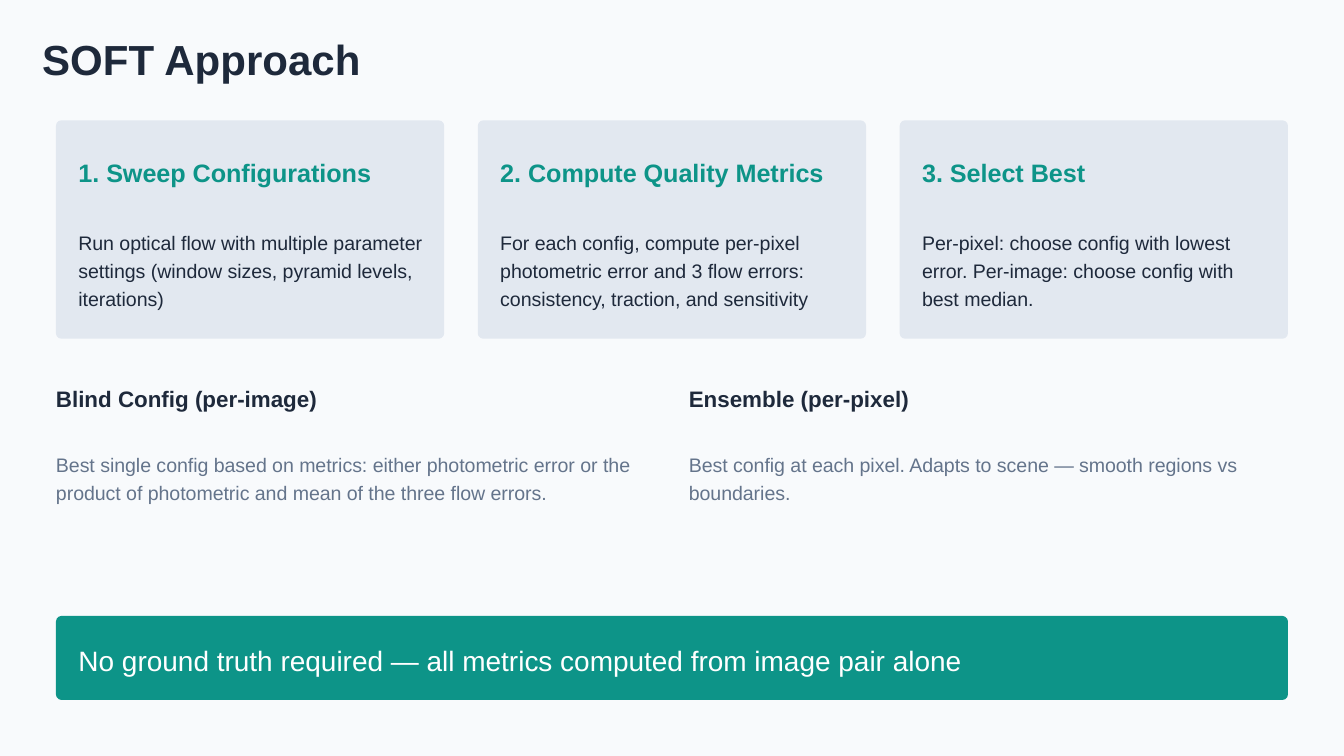
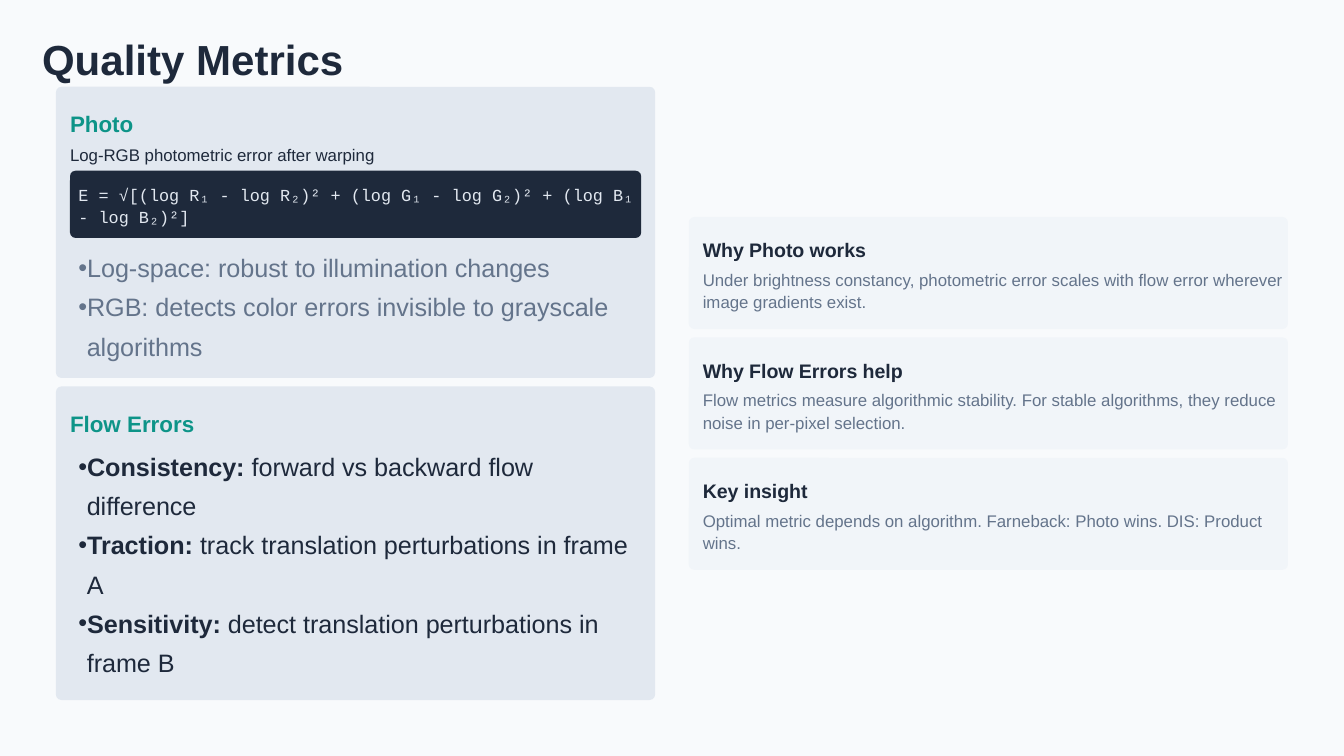
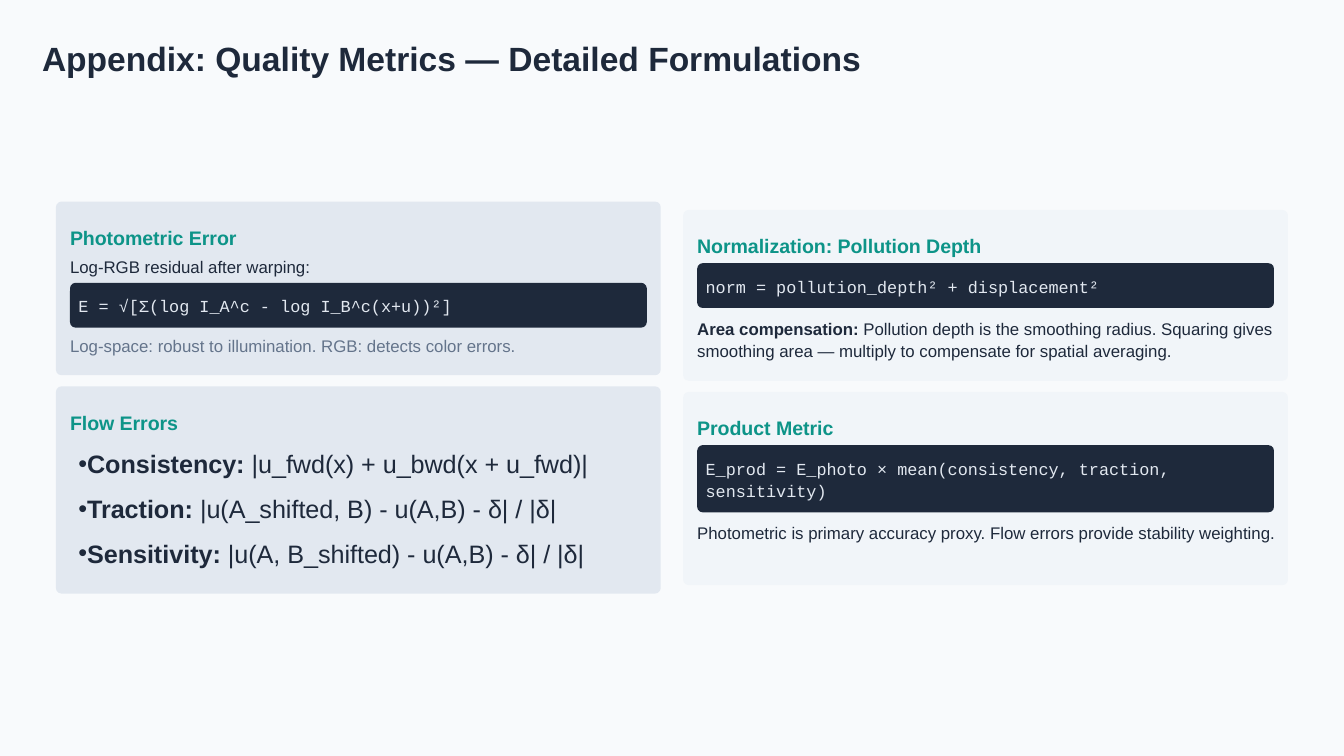
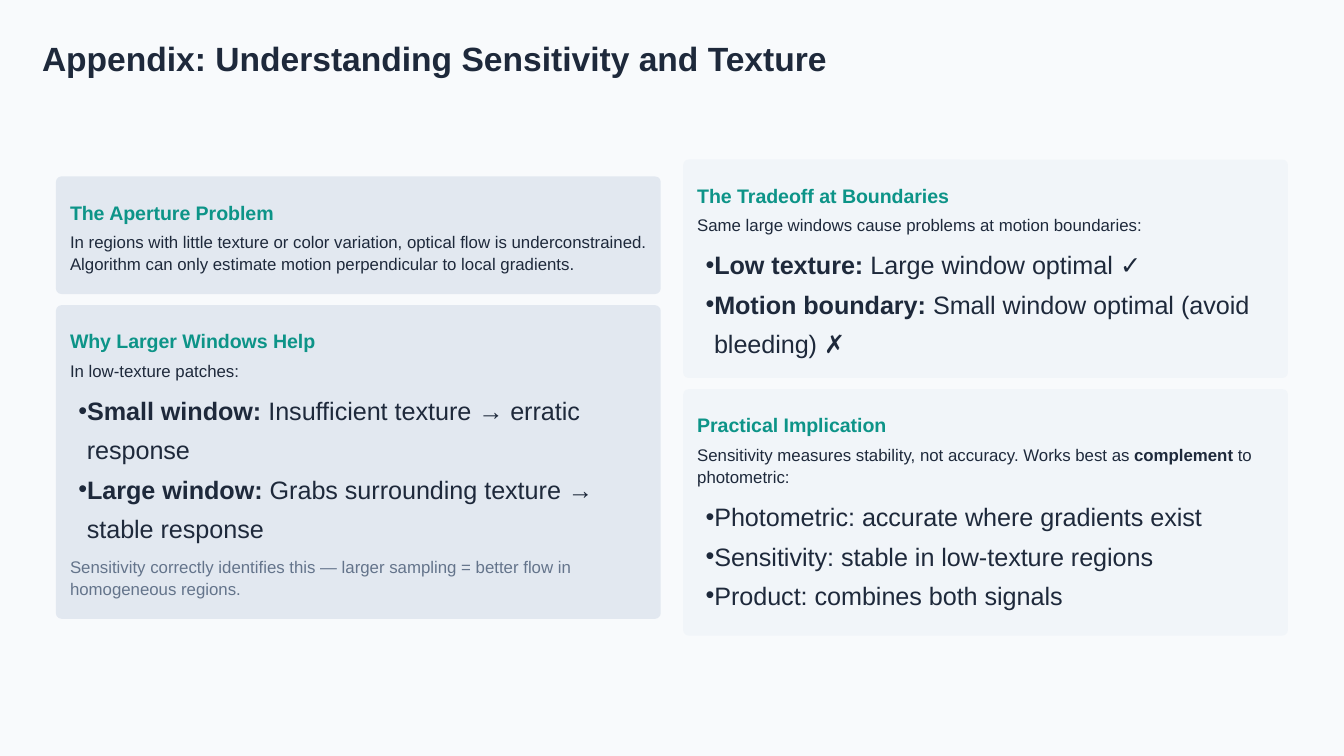
"""Builds four slides on quality metrics for optical flow."""
from dataclasses import dataclass

from lxml import etree
from pptx import Presentation
from pptx.dml.color import RGBColor
from pptx.enum.shapes import MSO_SHAPE
from pptx.enum.text import MSO_ANCHOR, MSO_AUTO_SIZE, PP_ALIGN
from pptx.oxml.ns import qn
from pptx.util import Pt

ROUND_RECT = MSO_SHAPE.ROUNDED_RECTANGLE
TOP = MSO_ANCHOR.TOP
NO_AUTOFIT = MSO_AUTO_SIZE.NONE
LEFT = PP_ALIGN.LEFT
LAYOUT_BY_LISTS = {0: 5, 1: 1, 2: 3, 3: 4}


@dataclass(frozen=True)
class Style:
    """Format of one kind of text."""
    size: float
    leading: float
    color: str
    bold: bool = False
    font: str = "Arial"


class Theme:
    """Colours, type sizes and shared measures in points."""
    PAPER, CARD, PALE = "F8FAFC", "E2E8F0", "F1F5F9"
    INK, MUTED, TEAL, WHITE = "1E293B", "64748B", "0D9488", "FFFFFF"
    RADIUS, MARGIN, INDENT = 3, 30, 4.5
    STYLES = {
        "title": Style(22.5, 27, INK, True),
        "appendix": Style(18, 24, INK, True),
        "step": Style(13.5, 21, TEAL, True),
        "banner": Style(15, 21, WHITE),
        "section": Style(12, 18, INK, True),
        "metric": Style(12, 18, TEAL, True),
        "topic": Style(10.5, 15, TEAL, True),
        "reason": Style(10.5, 15, INK, True),
        "body": Style(10.5, 15, INK),
        "body_muted": Style(10.5, 15, MUTED),
        "small": Style(9, 12, INK),
        "small_muted": Style(9, 12, MUTED),
        "code": Style(9, 12, CARD, font="Courier New"),
        "list": Style(13.5, 21, INK),
        "list_muted": Style(13.5, 21, MUTED),
    }


def rgb(value):
    """Return the colour of a hex string."""
    return RGBColor.from_string(value)


def write(p, text, style, bullet=False, after=0):
    """Fill a paragraph, with ** around bold words."""
    if bullet:
        pPr = p._p.get_or_add_pPr()
        pPr.set("marL", str(Pt(Theme.INDENT)))
        pPr.set("indent", str(-Pt(Theme.INDENT)))
        etree.SubElement(pPr, qn("a:buChar")).set("char", "•")
    p.alignment = LEFT
    p.line_spacing = Pt(style.leading)
    p.space_before, p.space_after = Pt(0), Pt(after)
    for i, part in enumerate(text.split("**")):
        if part:
            r = p.add_run()
            r.text = part
            r.font.name, r.font.size = style.font, Pt(style.size)
            r.font.bold = style.bold or i % 2 == 1
            r.font.color.rgb = rgb(style.color)


class Deck:
    """Holds the presentation, its style and the current slide."""

    def __init__(self):
        """Start a wide deck with a light background."""
        self.prs = Presentation()
        self.prs.slide_width, self.prs.slide_height = Pt(720), Pt(405)
        fill = self.prs.slide_master.background.fill
        fill.solid()
        fill.fore_color.rgb = rgb(Theme.PAPER)

    def slide(self, title, width, kind="title", lists=0):
        """Add a slide with a title and room for some lists."""
        layout = self.prs.slide_layouts[LAYOUT_BY_LISTS[lists]]
        self.s = self.prs.slides.add_slide(layout)
        sp = self.s.shapes.title
        style = Theme.STYLES[kind]
        tf = self.frame(sp, 22.5, 18, width, style.leading)
        write(tf.paragraphs[0], title, style)
        bodies = [ph for ph in self.s.placeholders
                  if ph.placeholder_format.idx > 0]
        for ph in bodies[lists:]:
            ph.element.getparent().remove(ph.element)
        self.bodies = iter(bodies[:lists])

    def frame(self, sp, x, y, w, h, inset=0):
        """Place a text holder and return its plain text frame."""
        sp.left, sp.top, sp.width, sp.height = Pt(x), Pt(y), Pt(w), Pt(h)
        tf = sp.text_frame
        tf.word_wrap, tf.auto_size = True, NO_AUTOFIT
        tf.vertical_anchor = TOP
        tf.margin_left = Pt(inset)
        tf.margin_top = tf.margin_right = tf.margin_bottom = 0
        return tf

    def text(self, x, y, w, text, kind, lines=1):
        """Add a text box and return its height."""
        style = Theme.STYLES[kind]
        h = lines * style.leading
        sp = self.s.shapes.add_textbox(0, 0, 0, 0)
        tf = self.frame(sp, x, y, w, h)
        write(tf.paragraphs[0], text, style)
        return h

    def panel(self, x, y, w, h, color):
        """Add a filled rectangle with rounded corners."""
        sp = self.s.shapes.add_shape(ROUND_RECT, Pt(x), Pt(y), Pt(w), Pt(h))
        sp.adjustments[0] = Theme.RADIUS / min(w, h)
        sp.shadow.inherit = False
        sp.fill.solid()
        sp.fill.fore_color.rgb = rgb(color)
        sp.line.fill.background()

    def code(self, x, y, w, text, lines):
        """Add a formula on a dark panel and return its height."""
        h = lines * Theme.STYLES["code"].leading + 12
        self.panel(x, y, w, h, Theme.INK)
        self.text(x + 4.5, y + 6, w - 3, text, "code", lines)
        return h

    def bullets(self, x, y, w, items, kind, lines, after=0):
        """Fill the next body placeholder and return its height."""
        style = Theme.STYLES[kind]
        h = lines * style.leading + (3 + after) * (len(items) - 1)
        sp = next(self.bodies)
        sp.element.getparent().append(sp.element)
        tf = self.frame(sp, x, y, w, h, Theme.INDENT)
        for i, item in enumerate(items):
            p = tf.add_paragraph() if i else tf.paragraphs[0]
            write(p, item, style, bullet=True, after=after)
        return h

    def flow(self, x, y, w, blocks, gap=3):
        """Stack blocks of kind, content, line count and extras."""
        for kind, content, lines, *extra in blocks:
            if kind.startswith("list"):
                h = self.bullets(x, y, w, content, kind, lines, *extra)
            elif kind == "code":
                h = self.code(x, y, w, content, lines)
            else:
                y += sum(extra)
                h = self.text(x, y, w * 1.02, content, kind, lines)
            y += h + gap

    def card(self, x, y, w, h, color, blocks, pad=(7.5, 10.5), gap=3):
        """Add a panel with a stack of blocks inside."""
        self.panel(x, y, w, h, color)
        self.flow(x + pad[0], y + pad[1], w - 2 * pad[0], blocks, gap)


def approach(deck):
    """Build the slide of the three steps."""
    deck.slide("SOFT Approach", 345)
    steps = [
        ("1. Sweep Configurations",
         "Run optical flow with multiple parameter settings (window sizes, "
         "pyramid levels, iterations)"),
        ("2. Compute Quality Metrics",
         "For each config, compute per-pixel photometric error and 3 flow "
         "errors: consistency, traction, and sensitivity"),
        ("3. Select Best",
         "Per-pixel: choose config with lowest error. Per-image: choose "
         "config with best median."),
    ]
    for i, (head, body) in enumerate(steps):
        deck.card(Theme.MARGIN + i * 226, 64.5, 208, 117, Theme.CARD,
                  [("step", head, 1), ("body", body, 3)], (12, 15), 21)
    modes = [
        ("Blind Config (per-image)",
         "Best single config based on metrics: either photometric error or "
         "the product of photometric and mean of the three flow errors."),
        ("Ensemble (per-pixel)",
         "Best config at each pixel. Adapts to scene — smooth regions vs "
         "boundaries."),
    ]
    for i, (head, body) in enumerate(modes):
        deck.flow(Theme.MARGIN + i * 339, 202.5, 321,
                  [("section", head, 1), ("body_muted", body, 2)], 19.5)
    deck.card(Theme.MARGIN, 330, 660, 45, Theme.TEAL, [
        ("banner", "No ground truth required — all metrics computed from "
         "image pair alone", 1)], (12, 12))


def metrics(deck):
    """Build the slide of the metrics and their reasons."""
    deck.slide("Quality Metrics", 345, lists=2)
    w, pad = 321, (7.5, 9)
    deck.card(Theme.MARGIN, 46.5, w, 156, Theme.CARD, [
        ("metric", "Photo", 1),
        ("small", "Log-RGB photometric error after warping", 1),
        ("code", "E = √[(log R₁ - log R₂)² + (log G₁ - log G₂)² + "
         "(log B₁ - log B₂)²]", 2),
        ("list_muted", [
            "Log-space: robust to illumination changes",
            "RGB: detects color errors invisible to grayscale algorithms",
        ], 3)], pad)
    deck.card(Theme.MARGIN, 207, w, 168, Theme.CARD, [
        ("metric", "Flow Errors", 1),
        ("list", [
            "**Consistency:** forward vs backward flow difference",
            "**Traction:** track translation perturbations in frame A",
            "**Sensitivity:** detect translation perturbations in frame B",
        ], 6)], pad)
    reasons = [
        ("Why Photo works",
         "Under brightness constancy, photometric error scales with flow "
         "error wherever image gradients exist."),
        ("Why Flow Errors help",
         "Flow metrics measure algorithmic stability. For stable algorithms, "
         "they reduce noise in per-pixel selection."),
        ("Key insight",
         "Optimal metric depends on algorithm. Farneback: Photo wins. DIS: "
         "Product wins."),
    ]
    for i, (head, body) in enumerate(reasons):
        deck.card(369, 116.25 + i * 64.5, w, 60, Theme.PALE,
                  [("reason", head, 1), ("small_muted", body, 2)], pad)


def formulations(deck):
    """Build the appendix slide of formulas."""
    deck.slide("Appendix: Quality Metrics — Detailed Formulations", 448.5,
               "appendix", lists=1)
    left, right, w = Theme.MARGIN, 366, 324
    deck.card(left, 108, w, 93, Theme.CARD, [
        ("topic", "Photometric Error", 1),
        ("small", "Log-RGB residual after warping:", 1),
        ("code", "E = √[Σ(log I_A^c - log I_B^c(x+u))²]", 1),
        ("small_muted", "Log-space: robust to illumination. RGB: detects "
         "color errors.", 1)])
    deck.card(left, 207, w, 111, Theme.CARD, [
        ("topic", "Flow Errors", 1),
        ("list", [
            "**Consistency:** |u_fwd(x) + u_bwd(x + u_fwd)|",
            "**Traction:** |u(A_shifted, B) - u(A,B) - δ| / |δ|",
            "**Sensitivity:** |u(A, B_shifted) - u(A,B) - δ| / |δ|",
        ], 3, 3)])
    deck.card(right, 112.5, w, 91.5, Theme.PALE, [
        ("topic", "Normalization: Pollution Depth", 1),
        ("code", "norm = pollution_depth² + displacement²", 1),
        ("small", "**Area compensation:** Pollution depth is the smoothing "
         "radius. Squaring gives smoothing area — multiply to compensate for "
         "spatial averaging.", 2, 1.5)])
    deck.card(right, 210, w, 103.5, Theme.PALE, [
        ("topic", "Product Metric", 1),
        ("code", "E_prod = E_photo × mean(consistency, traction, "
         "sensitivity)", 2),
        ("small", "Photometric is primary accuracy proxy. Flow errors provide "
         "stability weighting.", 2, 1.5)])


def texture(deck):
    """Build the appendix slide on sensitivity and texture."""
    deck.slide("Appendix: Understanding Sensitivity and Texture", 429,
               "appendix", lists=3)
    left, right, w = Theme.MARGIN, 366, 324
    deck.card(left, 94.5, w, 63, Theme.CARD, [
        ("topic", "The Aperture Problem", 1),
        ("small", "In regions with little texture or color variation, optical "
         "flow is underconstrained. Algorithm can only estimate motion "
         "perpendicular to local gradients.", 2)])
    deck.card(left, 163.5, w, 168, Theme.CARD, [
        ("topic", "Why Larger Windows Help", 1),
        ("small", "In low-texture patches:", 1),
        ("list", [
            "**Small window:** Insufficient texture → erratic response",
            "**Large window:** Grabs surrounding texture → stable response",
        ], 4),
        ("small_muted", "Sensitivity correctly identifies this — larger "
         "sampling = better flow in homogeneous regions.", 2)])
    deck.card(right, 85.5, w, 117, Theme.PALE, [
        ("topic", "The Tradeoff at Boundaries", 1),
        ("small", "Same large windows cause problems at motion boundaries:",
         1),
        ("list", [
            "**Low texture:** Large window optimal ✓",
            "**Motion boundary:** Small window optimal (avoid bleeding) ✗",
        ], 3)])
    deck.card(right, 208.5, w, 132, Theme.PALE, [
        ("topic", "Practical Implication", 1),
        ("small", "Sensitivity measures stability, not accuracy. Works best "
         "as **complement** to photometric:", 2),
        ("list", [
            "Photometric: accurate where gradients exist",
            "Sensitivity: stable in low-texture regions",
            "Product: combines both signals",
        ], 3)])


def main():
    """Build the slides in order and save them."""
    deck = Deck()
    for build in (approach, metrics, formulations, texture):
        build(deck)
    deck.prs.save("out.pptx")


if __name__ == "__main__":
    main()
